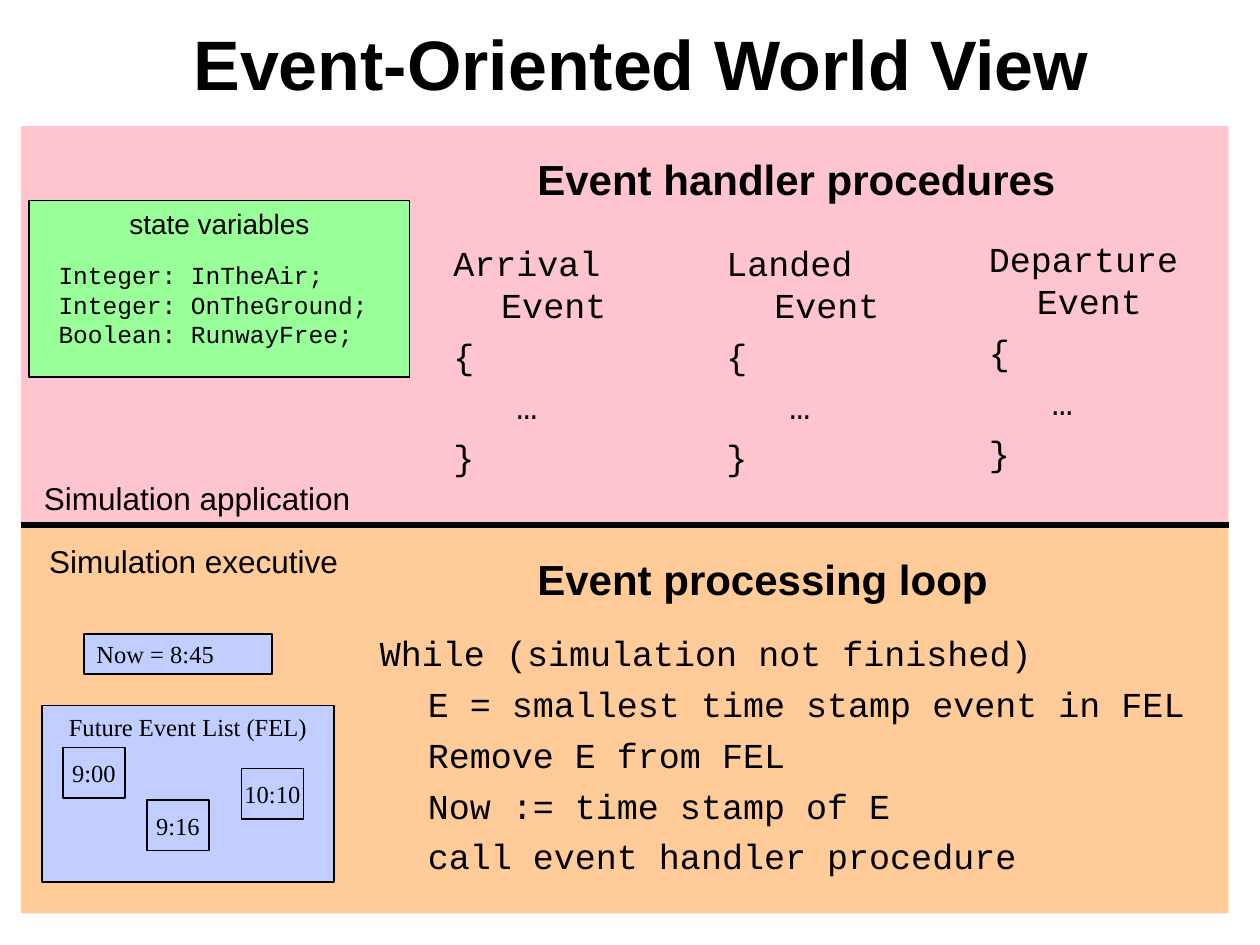
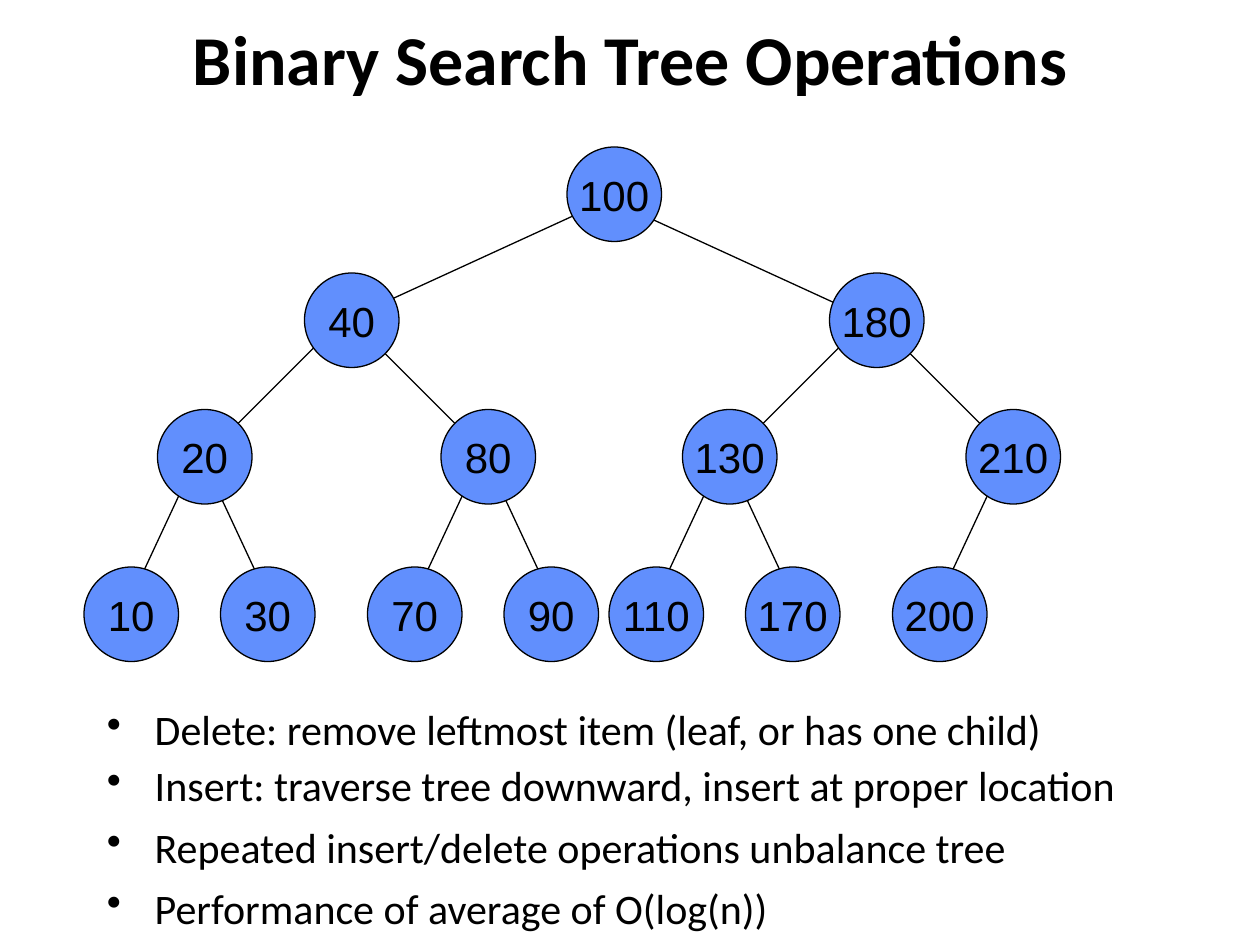
from lxml import etree
from pptx import Presentation, util as u
from pptx.dml.color import RGBColor
from pptx.enum import shapes, text
from pptx.oxml.ns import qn

# Shared grid: 120 columns by 90 rows, all boxes are (left, top, width, height) in cells
COLS, ROWS = 120, 90
CELL = u.Inches(10) // COLS
BLACK, PINK, GREEN = "000000", "FFC5CF", "99FF99"
ORANGE, LILAC, BLUE = "FFCC99", "C1CEFF", "618FFD"
SANS, BODY, CODE, SERIF = "Arial", "Calibri", "Courier New", "Times New Roman"
CENTER, LEFT = text.PP_ALIGN.CENTER, text.PP_ALIGN.LEFT
TOP, MIDDLE = text.MSO_ANCHOR.TOP, text.MSO_ANCHOR.MIDDLE
RECT, OVAL = shapes.MSO_SHAPE.RECTANGLE, shapes.MSO_SHAPE.OVAL
HANG = (0.38, -0.38)


def color(value):
    return RGBColor.from_string(value)


def emu(*cells):
    return [round(c * CELL) for c in cells]


def inside(box, x, y, w, h):
    """Turn a position relative to a box into a position on the slide."""
    return box[0] + x, box[1] + y, w, h


def write(tf, lines, font, size, bold=False, align=LEFT, anchor=TOP,
          wrap=True, indents=None, before=0, bullet=None):
    """Fill a frame; indents holds one (margin, first line) pair per line."""
    tf.word_wrap = wrap
    tf.auto_size = text.MSO_AUTO_SIZE.NONE
    tf.vertical_anchor = anchor
    for i, line in enumerate(lines):
        p = tf.paragraphs[0] if i == 0 else tf.add_paragraph()
        p.alignment = align
        if i and before:
            p.space_before = u.Pt(before)
        pPr = p._p.get_or_add_pPr()
        if indents:
            margin, first = indents[i]
            pPr.set("marL", str(u.Inches(margin)))
            pPr.set("indent", str(u.Inches(first)))
        if bullet:
            etree.SubElement(pPr, qn("a:buChar")).set("char", bullet)
        r = p.add_run()
        r.text = line
        r.font.name, r.font.size, r.font.bold = font, u.Pt(size), bold
        r.font.color.rgb = color(BLACK)


def add_text(s, box, lines, font, size, **style):
    sp = s.shapes.add_textbox(*emu(*box))
    write(sp.text_frame, lines, font, size, **style)


def add_box(s, box, fill, line=None, kind=RECT):
    sp = s.shapes.add_shape(kind, *emu(*box))
    sp.shadow.inherit = False
    sp.fill.solid()
    sp.fill.fore_color.rgb = color(fill)
    if line:
        sp.line.color.rgb = color(BLACK)
        sp.line.width = u.Pt(line)
    else:
        sp.line.fill.background()
    return sp.text_frame


def add_line(s, x1, y1, x2, y2, width):
    c = s.shapes.add_connector(shapes.MSO_CONNECTOR.STRAIGHT, *emu(x1, y1, x2, y2))
    c.line.color.rgb = color(BLACK)
    c.line.width = u.Pt(width)
    etree.SubElement(c._element.spPr, qn("a:effectLst"))


def titled_slide(prs, title, box, font):
    s = prs.slides.add_slide(prs.slide_layouts[5])
    sp = s.shapes.title
    sp.left, sp.top, sp.width, sp.height = emu(*box)
    write(sp.text_frame, [title], font, 40, bold=True, align=CENTER, anchor=MIDDLE)
    return s


def band(s, box, fill, heading, heading_top, label, label_at):
    """Coloured band with a bold heading and a small label."""
    add_box(s, box, fill)
    add_text(s, inside(box, 42, heading_top, 58, 6), [heading], SANS, 24,
             bold=True, indents=[(0.81, -0.31)])
    add_text(s, inside(box, *label_at, 31, 4.8), [label], SANS, 18, wrap=False)


def application_band(s, box):
    band(s, box, PINK, "Event handler procedures", 2, "Simulation application", (1, 33))
    # State variables
    tf = add_box(s, inside(box, 0.8, 7.1, 36.2, 16.8), GREEN, 1)
    write(tf, ["state variables"], SANS, 16, align=CENTER, wrap=False)
    add_text(s, inside(box, 2.4, 12.2, 31.9, 9.6),
             ["Integer: InTheAir;", "Integer: OnTheGround;", "Boolean: RunwayFree;"],
             CODE, 14, wrap=False)
    # Handlers
    for event, x, y, w in (("Arrival", 40, 10.4, 23), ("Landed", 66, 10.4, 21),
                           ("Departure", 91, 10, 21)):
        add_text(s, inside(box, x, y, w, 23.6), [f"{event} Event", "{", "   …", "}"],
                 CODE, 20, indents=[HANG] * 4, before=5)


def executive_band(s, box):
    band(s, box, ORANGE, "Event processing loop", 2.1, "Simulation executive", (1.5, 1))
    add_line(s, box[0], box[1], box[0] + box[2], box[1], 3)
    # Clock
    tf = add_box(s, inside(box, 6, 10.4, 17.9, 3.8), LILAC, 1)
    write(tf, ["Now = 8:45"], SERIF, 14, anchor=MIDDLE, wrap=False)
    # Future event list
    fel = inside(box, 2, 17.2, 27.8, 16.8)
    write(add_box(s, fel, LILAC, 1), ["Future Event List (FEL)"], SERIF, 14,
          align=CENTER, wrap=False)
    for time, x, y in (("9:00", 2, 4), ("9:16", 10, 9), ("10:10", 19, 6)):
        write(add_box(s, inside(fel, x, y, 5.9, 4.8), LILAC, 1), [time], SERIF, 14,
              align=CENTER, anchor=MIDDLE, wrap=False)
    # Loop code, body indented under its first line
    add_text(s, inside(box, 33, 9.6, 80, 24.5),
             ["While (simulation not finished)",
              "E = smallest time stamp event in FEL",
              "Remove E from FEL",
              "Now := time stamp of E",
              "call event handler procedure"],
             CODE, 20, indents=[HANG] + [(0.38, 0)] * 4, before=5)


# Tree levels: node top, row where edges meet, reach of edges to children, nodes by left
LEVELS = [
    (0, 5, 24, {46: "100"}),
    (12, 16, 13, {21: "40", 71: "180"}),
    (25, 29, 7, {7: "20", 34: "80", 57: "130", 84: "210"}),
    (40, 44, 0, {0: "10", 13: "30", 27: "70", 40: "90", 50: "110", 63: "170", 77: "200"}),
]


def search_tree(s, box):
    x0, y0 = box[:2]
    # Edges: child i hangs from parent i // 2, alternating left and right
    for (_, joint, reach, parents), (_, child_joint, _, children) in zip(LEVELS, LEVELS[1:]):
        lefts = list(parents)
        for i in range(len(children)):
            x = x0 + lefts[i // 2] + 4
            side = 1 if i % 2 else -1
            add_line(s, x, y0 + joint, x + side * reach, y0 + child_joint, 0.75)
    # Nodes
    for top, _, _, nodes in LEVELS:
        for left, key in nodes.items():
            tf = add_box(s, inside(box, left, top, 9, 9), BLUE, 0.75, OVAL)
            write(tf, [key], SANS, 24, align=CENTER, anchor=MIDDLE, wrap=False)


def operation_notes(s, box):
    sp = s.shapes.add_textbox(*emu(*box))
    tf = sp.text_frame
    write(tf, ["Delete: remove leftmost item (leaf, or has one child)",
               "Insert: traverse tree downward, insert at proper location",
               "Repeated insert/delete operations unbalance tree",
               "Performance of average of O(log(n))"],
          BODY, 24, indents=[HANG] * 4, before=6, bullet="•")
    for p in tf.paragraphs[:2]:
        p.line_spacing = 0.9


def main():
    prs = Presentation()
    prs.slide_width, prs.slide_height = emu(COLS, ROWS)

    s = titled_slide(prs, "Event-Oriented World View", (6.2, 1.4, 109.7, 9.2), SANS)
    application_band(s, (2, 12, 115, 38))
    executive_band(s, (2, 50, 115, 37))

    s = titled_slide(prs, "Binary Search Tree Operations", (6, 0, 108, 11), BODY)
    search_tree(s, (8, 14, 93, 49))
    operation_notes(s, (9, 67, 102, 23))

    prs.save("out.pptx")


if __name__ == "__main__":
    main()
